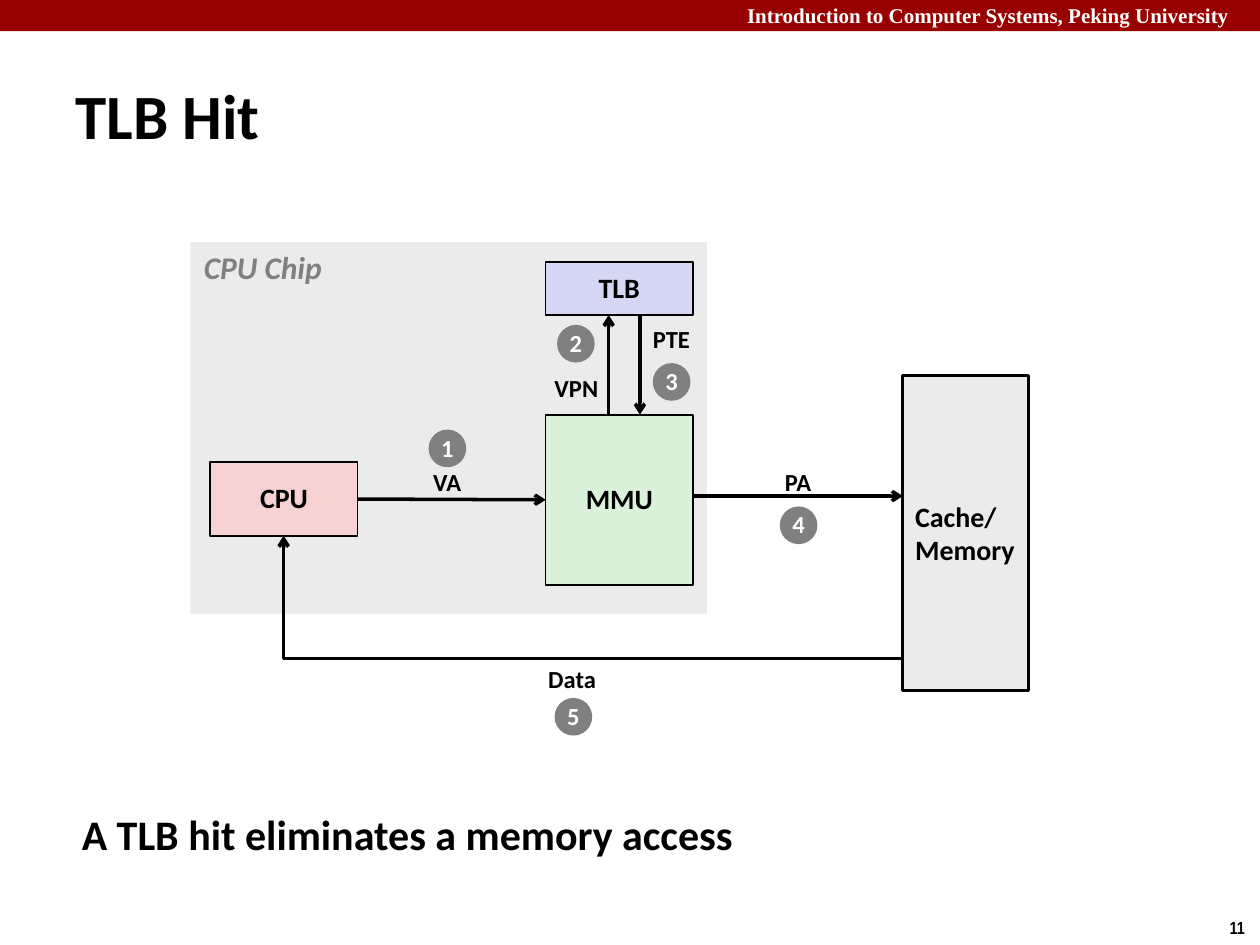
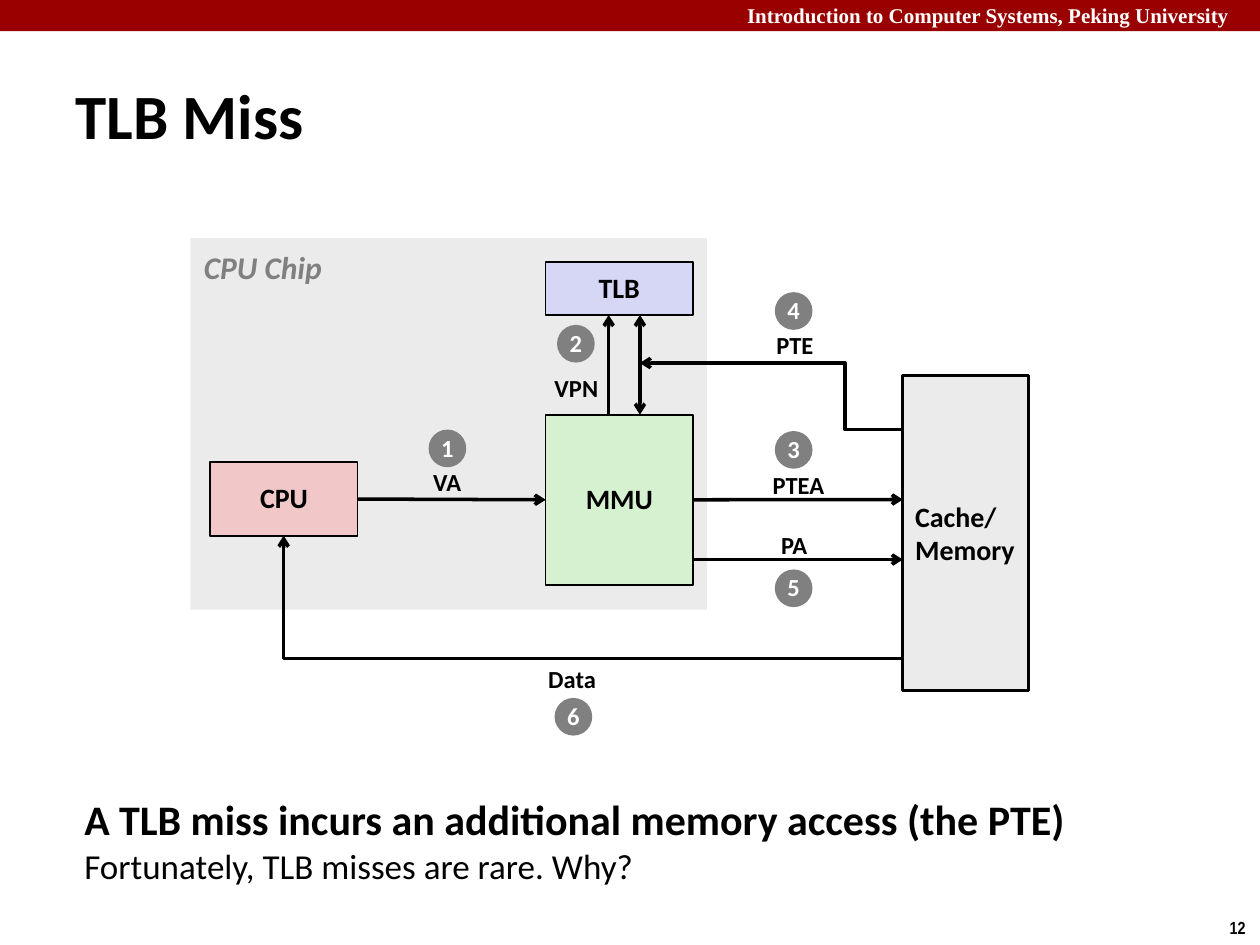
from lxml import etree
from pptx import Presentation
from pptx import util as u
from pptx.dml.color import RGBColor
from pptx.enum import shapes, text
from pptx.oxml import ns

# Shared look
RED, GREY, PALE = "990000", "808080", "EBEBEB"
BLACK, WHITE, LILAC = "000000", "FFFFFF", "D6D6F5"
FACE = "Calibri"
DOT = 0.76
LEFT, MID = text.PP_ALIGN.LEFT, text.PP_ALIGN.CENTER
RECT, OVAL = shapes.MSO_SHAPE.RECTANGLE, shapes.MSO_SHAPE.OVAL

# Edges the wires run between, in cm
MMU_END, MEM_EDGE = 13.97, 18.2
TLB_BASE, MMU_TOP = 6.35, 8.36


def ink(code):
    return RGBColor.from_string(code)


def cms(*sizes):
    return [u.Cm(size) for size in sizes]


# Text
def write(shape, lines, size, color=BLACK, align=LEFT, middle=False,
          wrap=False, face=FACE, slant=False):
    """Put each (words, bold, size) or plain string on its own line."""
    frame = shape.text_frame
    frame.word_wrap = wrap
    frame.vertical_anchor = (text.MSO_ANCHOR.MIDDLE if middle
                             else text.MSO_ANCHOR.TOP)
    for i, line in enumerate(lines):
        words, bold, points = (line, True, size) if isinstance(line, str) else line
        para = frame.paragraphs[0] if i == 0 else frame.add_paragraph()
        para.alignment = align
        if align == MID:
            para.line_spacing = 0.98
        run = para.add_run()
        run.text = words
        font = run.font
        font.name, font.size = face, u.Pt(points)
        font.bold, font.italic = bold, slant
        font.color.rgb = ink(color)


def note(slide, lines, spot, size, **style):
    box = slide.shapes.add_textbox(*cms(*spot))
    write(box, lines, size, **style)


def label(slide, words, x, y, width):
    note(slide, [words], (x, y, width, 0.84), 14, align=MID, middle=True)


# Shapes
def block(slide, spot, fill, lines=(), edge=0, kind=RECT, size=16,
          color=BLACK, align=MID):
    shape = slide.shapes.add_shape(kind, *cms(*spot))
    shape.shadow.inherit = False
    shape.fill.solid()
    shape.fill.fore_color.rgb = ink(fill)
    if edge:
        shape.line.color.rgb = ink(BLACK)
        shape.line.width = u.Pt(edge)
    else:
        shape.line.fill.background()
    write(shape, lines, size, color, align, middle=True)
    return shape


def step(slide, number, x, y):
    block(slide, (x, y, DOT, DOT), GREY, [str(number)], kind=OVAL,
          size=14, color=WHITE)


# Arrows
def arrow(slide, start, end, bent=False, both=False):
    kind = shapes.MSO_CONNECTOR.ELBOW if bent else shapes.MSO_CONNECTOR.STRAIGHT
    wire = slide.shapes.add_connector(kind, *cms(*start, *end))
    wire.line.color.rgb = ink(BLACK)
    wire.line.width = u.Pt(2)
    props = wire.element.spPr
    line = props.find(ns.qn("a:ln"))
    for tip in ("headEnd", "tailEnd") if both else ("tailEnd",):
        etree.SubElement(line, ns.qn("a:" + tip), type="arrow")
    etree.SubElement(props, ns.qn("a:effectLst"))
    return wire


def shape_bend(wire, preset, turn=None):
    geom = wire.element.spPr.find(ns.qn("a:prstGeom"))
    geom.set("prst", preset)
    if turn is not None:
        guides = geom.find(ns.qn("a:avLst"))
        if guides is None:
            guides = etree.SubElement(geom, ns.qn("a:avLst"))
        etree.SubElement(guides, ns.qn("a:gd"), name="adj1",
                         fmla=f"val {round(turn * 100000)}")


# Parts on both slides
def frame(deck, title, number):
    slide = deck.slides.add_slide(deck.slide_layouts[6])
    block(slide, (0, 0, 25.4, 0.63), RED)
    note(slide, ["Introduction to Computer Systems, Peking University"],
         (14.81, -0.08, 10.77, 0.76), 12, color=WHITE, wrap=True,
         face="Times New Roman")
    note(slide, [str(number)], (24.54, 18.36, 0.86, 0.69), 10,
         face="Arial Narrow")
    note(slide, [title], (1.27, 1.22, 24.21, 2.18), 36, middle=True, wrap=True)
    return slide


def system(slide, chip_top, cpu_fill, mmu_fill, last, both=False):
    """Draw the chip, the memory and the steps both cases share."""
    block(slide, (3.84, chip_top, 10.41, 7.49), PALE)
    note(slide, ["CPU Chip"], (3.86, 4.88, 2.95, 1.02), 18, color=GREY,
         slant=True)
    cpu = block(slide, (4.24, 9.32, 2.97, 1.48), cpu_fill, ["CPU"], 1)
    mmu = block(slide, (11, MMU_TOP, 2.97, 3.43), mmu_fill, ["MMU"], 1)
    block(slide, (11, 5.28, 2.97, 1.07), LILAC, ["TLB"], 1)
    block(slide, (MEM_EDGE, 7.57, 2.54, 6.35), PALE, ["Cache/", "Memory"], 1.5,
          align=LEFT)

    # Address from CPU to MMU
    wire = arrow(slide, (7.21, 10.06), (11, 10.06))
    wire.begin_connect(cpu, 3)
    wire.end_connect(mmu, 1)
    label(slide, "VA", 8.48, 9.32, 1.07)
    step(slide, 1, 8.64, 8.66)

    # Lookup in the TLB
    arrow(slide, (12.27, MMU_TOP), (12.27, TLB_BASE))
    arrow(slide, (12.9, TLB_BASE), (12.9, MMU_TOP), both=both)
    label(slide, "VPN", 10.92, 7.42, 1.4)
    step(slide, 2, 11.23, 6.55)

    # Data back to CPU
    wire = arrow(slide, (MEM_EDGE, 13.28), (5.72, 10.8), bent=True)
    shape_bend(wire, "bentConnector2")
    label(slide, "Data", 10.8, 13.28, 1.47)
    step(slide, last, 11.18, 14.07)
    return mmu


def hit(deck):
    slide = frame(deck, "TLB Hit", 11)
    system(slide, 4.88, "F6D2D2", "DBF2DA", 5)
    label(slide, "PTE", 12.9, 6.43, 1.27)
    step(slide, 3, 13.16, 7.32)
    arrow(slide, (MMU_END, 10), (MEM_EDGE, 10))
    label(slide, "PA", 15.57, 9.32, 1.04)
    step(slide, 4, 15.72, 10.21)
    note(slide, ["A TLB hit eliminates a memory access"],
         (1.4, 16.18, 19.96, 1.6), 24, wrap=True)


def miss(deck):
    slide = frame(deck, "TLB Miss", 12)
    mmu = system(slide, 4.8, "F1C7C7", "D5F1CF", 6, both=True)

    # Fetch of the page table entry
    wire = arrow(slide, (MMU_END, 10.07), (MEM_EDGE, 10.07))
    wire.begin_connect(mmu, 3)
    label(slide, "PTEA", 15.32, 9.37, 1.55)
    wire = arrow(slide, (MEM_EDGE, 8.66), (12.9, 7.32), bent=True)
    shape_bend(wire, "bentConnector3", 0.22)
    label(slide, "PTE", 15.39, 6.55, 1.27)

    # Access to the data
    arrow(slide, (MMU_END, 11.28), (MEM_EDGE, 11.28))
    label(slide, "PA", 15.49, 10.59, 1.04)
    for number, y in ((3, 8.69), (4, 5.89), (5, 11.48)):
        step(slide, number, 15.62, y)
    note(slide, ["A TLB miss incurs an additional memory access (the PTE)",
                 ("Fortunately, TLB misses are rare. Why?", False, 20)],
         (1.45, 15.88, 21.41, 2.54), 24, wrap=True)


def main():
    deck = Presentation()
    deck.slide_width, deck.slide_height = cms(25.4, 19.05)
    hit(deck)
    miss(deck)
    deck.save("out.pptx")


if __name__ == "__main__":
    main()
